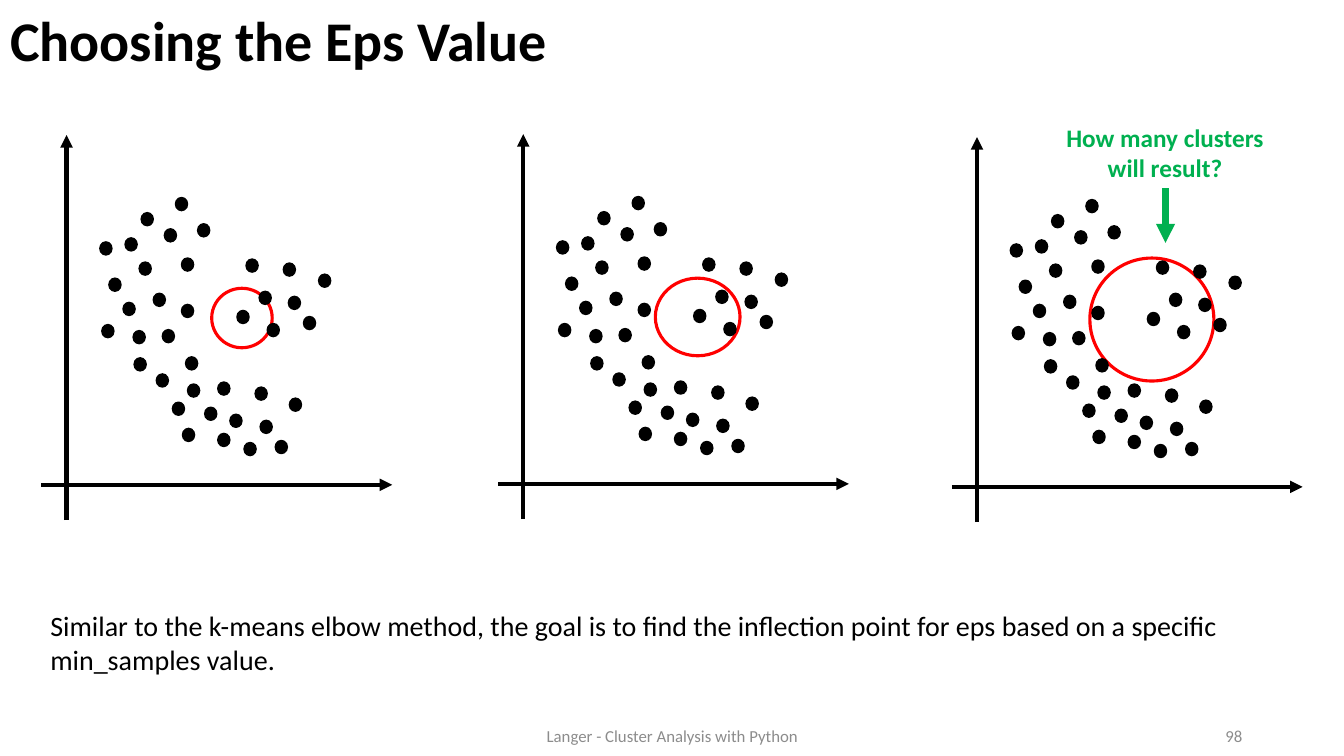
import lxml.etree
import pptx
import pptx.dml.color
import pptx.enum.shapes
import pptx.enum.text
import pptx.oxml.ns
import pptx.util

PX = 9144  # EMU per px, 100 px to the inch
FONT = "Calibri"
BLACK = pptx.dml.color.RGBColor(0x00, 0x00, 0x00)
GRAY = pptx.dml.color.RGBColor(0x8C, 0x8C, 0x8C)
RED = pptx.dml.color.RGBColor(0xFF, 0x00, 0x00)
GREEN = pptx.dml.color.RGBColor(0x00, 0xB0, 0x50)

ALIGN = pptx.enum.text.PP_ALIGN
ANCHOR = pptx.enum.text.MSO_ANCHOR

# Data points, measured from the top left of a plot
DOT_SIZE = (12, 13)
DOTS = [
    (122, 93), (91, 194), (139, 122), (99, 77), (139, 168), (97, 126),
    (60, 188), (81, 166), (133, 62), (155, 88), (83, 102), (58, 106),
    (92, 221), (67, 142), (111, 157), (140, 291), (143, 220), (120, 193),
    (232, 303), (187, 277), (130, 265), (114, 237), (175, 245), (162, 270),
    (217, 283), (212, 250), (145, 247), (175, 296), (246, 261), (260, 180),
    (216, 155), (203, 123), (194, 174), (245, 160), (240, 127), (224, 187),
    (275, 138), (201, 305),
]
PLOT_SIZE = (348, 382)
Y_AXIS_LEFT, X_AXIS_TOP = 25, 347

# Plot position, then the eps circle inside that plot
PLOTS = [
    ((41, 134), (169, 152, 60, 59)),
    ((494, 133), (156, 143, 84, 77)),
    ((944, 136), (137, 120, 123, 122)),
]


def emu(*lengths):
    return [pptx.util.Emu(length * PX) for length in lengths]


def write(shape, text, size, color, bold=False, align=ALIGN.LEFT, anchor=ANCHOR.TOP):
    frame = shape.text_frame
    frame.word_wrap = True
    frame.auto_size = pptx.enum.text.MSO_AUTO_SIZE.NONE
    frame.vertical_anchor = anchor
    paragraph = frame.paragraphs[0]
    paragraph.alignment = align
    run = paragraph.add_run()
    run.text = text
    run.font.name = FONT
    run.font.size = pptx.util.Pt(size)
    run.font.bold = bold
    run.font.color.rgb = color
    return paragraph


def add_text(slide, box, text, size, color, **style):
    write(slide.shapes.add_textbox(*emu(*box)), text, size, color, **style)


def add_ellipse(shapes, box, line_color, line_width, fill_color=None):
    ellipse = shapes.add_shape(pptx.enum.shapes.MSO_SHAPE.OVAL, *emu(*box))
    ellipse.shadow.inherit = False
    if fill_color is None:
        ellipse.fill.background()
    else:
        ellipse.fill.solid()
        ellipse.fill.fore_color.rgb = fill_color
    ellipse.line.color.rgb = line_color
    ellipse.line.width = pptx.util.Pt(line_width)


def add_arrow(shapes, start, end, color, width):
    arrow = shapes.add_connector(
        pptx.enum.shapes.MSO_CONNECTOR.STRAIGHT, *emu(*start, *end))
    arrow.line.color.rgb = color
    arrow.line.width = pptx.util.Pt(width)
    qn = pptx.oxml.ns.qn
    properties = arrow.element.spPr
    lxml.etree.SubElement(
        properties.find(qn("a:ln")), qn("a:tailEnd"), type="triangle")
    lxml.etree.SubElement(properties, qn("a:effectLst"))


def add_title(slide, box, text):
    title = slide.shapes.title
    title.left, title.top, title.width, title.height = emu(*box)
    paragraph = write(title, text, 40, BLACK, bold=True, anchor=ANCHOR.MIDDLE)
    paragraph.line_spacing = 0.9


def add_plot(slide, box, circle):
    left, top, width, height = box
    # Eps neighbourhood, behind the dots
    x, y, *size = circle
    add_ellipse(slide.shapes, (left + x, top + y, *size), RED, 2.25)
    # Dots and axes
    shapes = slide.shapes.add_group_shape().shapes
    for x, y in DOTS:
        add_ellipse(shapes, (left + x, top + y, *DOT_SIZE), BLACK, 1, BLACK)
    axis_x, axis_y = left + Y_AXIS_LEFT, top + X_AXIS_TOP
    add_arrow(shapes, (axis_x, top + height), (axis_x, top), BLACK, 3)
    add_arrow(shapes, (left, axis_y), (left + width, axis_y), BLACK, 3)


def add_question(slide, box):
    left, top, width, height = box
    add_text(slide, box, "How many clusters will result?", 18, GREEN,
             bold=True, align=ALIGN.CENTER)
    middle, bottom = left + width // 2 + 1, top + height
    add_arrow(slide.shapes, (middle, bottom), (middle, bottom + 54), GREEN, 4.5)


def add_footer(slide, box):
    left, top, width, height = box
    add_text(slide, box, "Langer - Cluster Analysis with Python", 12, GRAY,
             align=ALIGN.CENTER, anchor=ANCHOR.MIDDLE)
    add_text(slide, (left + width + 50, top, 300, height), "98", 12, GRAY,
             align=ALIGN.RIGHT, anchor=ANCHOR.MIDDLE)


def main():
    presentation = pptx.Presentation()
    presentation.slide_width, presentation.slide_height = emu(1333, 750)
    slide = presentation.slides.add_slide(presentation.slide_layouts[5])

    add_title(slide, (0, 2, 1064, 83), "Choosing the Eps Value")
    for position, circle in PLOTS:
        add_plot(slide, (*position, *PLOT_SIZE), circle)
    add_question(slide, (1043, 116, 225, 71))
    add_text(slide, (40, 599, 1231, 77),
             "Similar to the k-means elbow method, the goal is to find the "
             "inflection point for eps based on a specific min_samples value.",
             20, BLACK)
    add_footer(slide, (442, 710, 450, 40))

    presentation.save("out.pptx")


if __name__ == "__main__":
    main()
